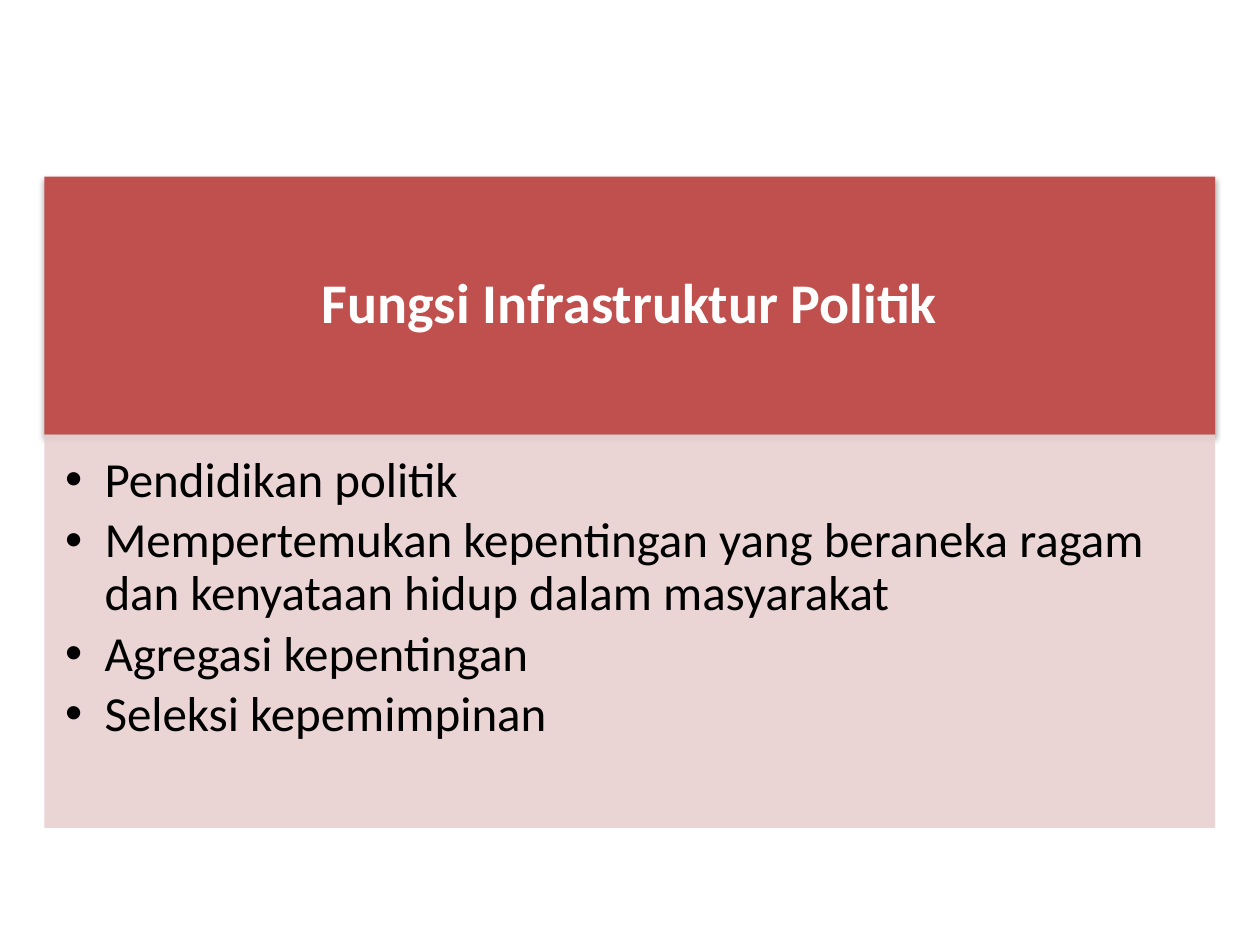
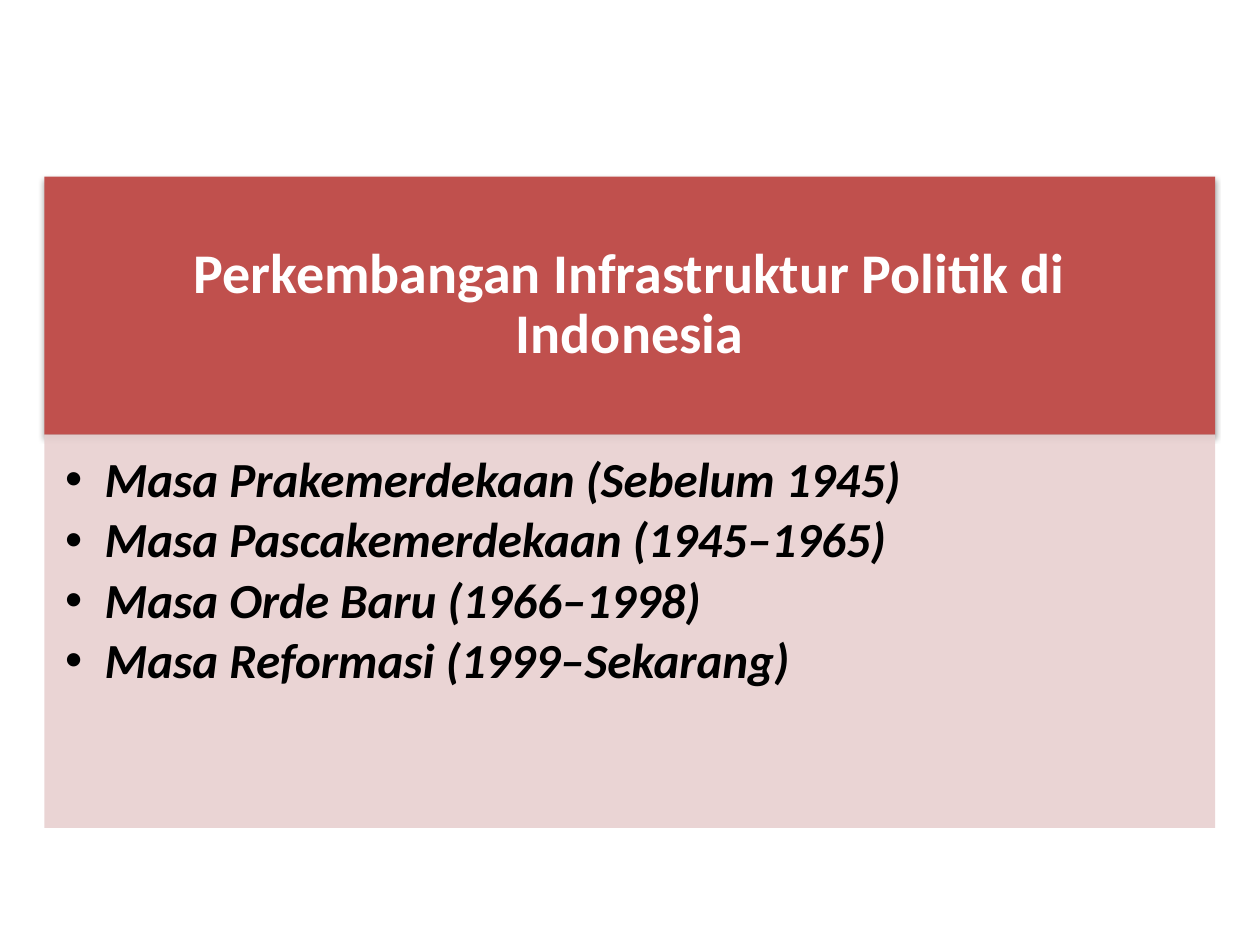
import pptx
import pptx.util
import pptx.dml.color
import pptx.enum.text
from dataclasses import dataclass
from lxml import etree

Pt = pptx.util.Pt
RGB = pptx.dml.color.RGBColor
ALIGN = pptx.enum.text.PP_ALIGN
ANCHOR = pptx.enum.text.MSO_ANCHOR

# Content
SLIDES = [
    {"title": "Fungsi Infrastruktur Politik",
     "points": ["Pendidikan politik",
                "Mempertemukan kepentingan yang beraneka ragam dan kenyataan "
                "hidup dalam masyarakat",
                "Agregasi kepentingan",
                "Seleksi kepemimpinan"],
     "emphasis": False},
    {"title": "Perkembangan Infrastruktur Politik di Indonesia",
     "points": ["Masa Prakemerdekaan (Sebelum 1945)",
                "Masa Pascakemerdekaan (1945–1965)",
                "Masa Orde Baru (1966–1998)",
                "Masa Reformasi (1999–Sekarang)"],
     "emphasis": True},
]


# Theme
@dataclass(frozen=True)
class Theme:
    font: str = "Calibri"
    band: str = "C0504D"
    panel: str = "E8D0D0"
    panel_alpha: int = 90
    title_color: str = "FFFFFF"
    text_color: str = "000000"
    title_size: int = 32
    text_size: int = 28
    line_spacing: float = 0.9


T = Theme()

# Layout, in points
SLIDE_W, SLIDE_H = 720, 540
LEFT, TOP, WIDTH = 25.3, 100.9, 669
BAND_H, PANEL_H = 147.4, 224.8
BAND_INSETS = (17.9, 10.2, 17.9, 10.2)
PANEL_INSETS = (11.9, 11.9, 15.9, 17.9)
BULLET_INDENT = 22.5
BULLET_GAP = 4.2

A = "http://schemas.openxmlformats.org/drawingml/2006/main"


def add_xml(parent, tag, **attrs):
    return etree.SubElement(parent, f"{{{A}}}{tag}", attrs)


def place(sp, top, height, fill, insets, anchor):
    """Move a placeholder and make it a filled block."""
    sp.left, sp.top, sp.width, sp.height = map(Pt, (LEFT, top, WIDTH, height))
    sp.fill.solid()
    sp.fill.fore_color.rgb = RGB.from_string(fill)
    tf = sp.text_frame
    tf.word_wrap = True
    tf.auto_size = pptx.enum.text.MSO_AUTO_SIZE.NONE
    tf.vertical_anchor = anchor
    tf.margin_left, tf.margin_top, tf.margin_right, tf.margin_bottom = map(Pt, insets)
    return tf


def write(p, text, *, size, color, bold=False, italic=False,
          align=ALIGN.LEFT, after=0, bullet=False):
    p.alignment = align
    p.line_spacing = T.line_spacing
    p.space_before, p.space_after = Pt(0), Pt(after)
    if bullet:
        p.level = 1
        pPr = p._p.get_or_add_pPr()
        pPr.set("marL", str(Pt(BULLET_INDENT)))
        pPr.set("indent", str(-Pt(BULLET_INDENT)))
        add_xml(pPr, "buChar", char="•")
    r = p.add_run()
    r.text = text
    r.font.name, r.font.size = T.font, Pt(size)
    r.font.bold, r.font.italic = bold, italic
    r.font.color.rgb = RGB.from_string(color)


def add_band(s, title):
    sp = s.shapes.title
    tf = place(sp, TOP, BAND_H, T.band, BAND_INSETS, ANCHOR.MIDDLE)
    write(tf.paragraphs[0], title, size=T.title_size, color=T.title_color,
          bold=True, align=ALIGN.CENTER)
    # Soft shadow straight down
    effects = add_xml(sp._element.spPr, "effectLst")
    shadow = add_xml(effects, "outerShdw", blurRad=str(Pt(3.1)),
                     dist=str(Pt(1.8)), dir="5400000", rotWithShape="0")
    add_xml(add_xml(shadow, "srgbClr", val="000000"), "alpha", val="35000")


def add_panel(s, points, emphasis):
    sp = s.placeholders[1]
    tf = place(sp, TOP + BAND_H, PANEL_H, T.panel, PANEL_INSETS, ANCHOR.TOP)
    color = sp._element.spPr.find(f".//{{{A}}}srgbClr")
    add_xml(color, "alpha", val=str(T.panel_alpha * 1000))
    for i, point in enumerate(points):
        p = tf.add_paragraph() if i else tf.paragraphs[0]
        write(p, point, size=T.text_size, color=T.text_color, bold=emphasis,
              italic=emphasis, after=BULLET_GAP, bullet=True)


def main():
    prs = pptx.Presentation()
    prs.slide_width, prs.slide_height = Pt(SLIDE_W), Pt(SLIDE_H)
    for content in SLIDES:
        s = prs.slides.add_slide(prs.slide_layouts[1])
        add_band(s, content["title"])
        add_panel(s, content["points"], content["emphasis"])
    prs.save("out.pptx")


if __name__ == "__main__":
    main()
